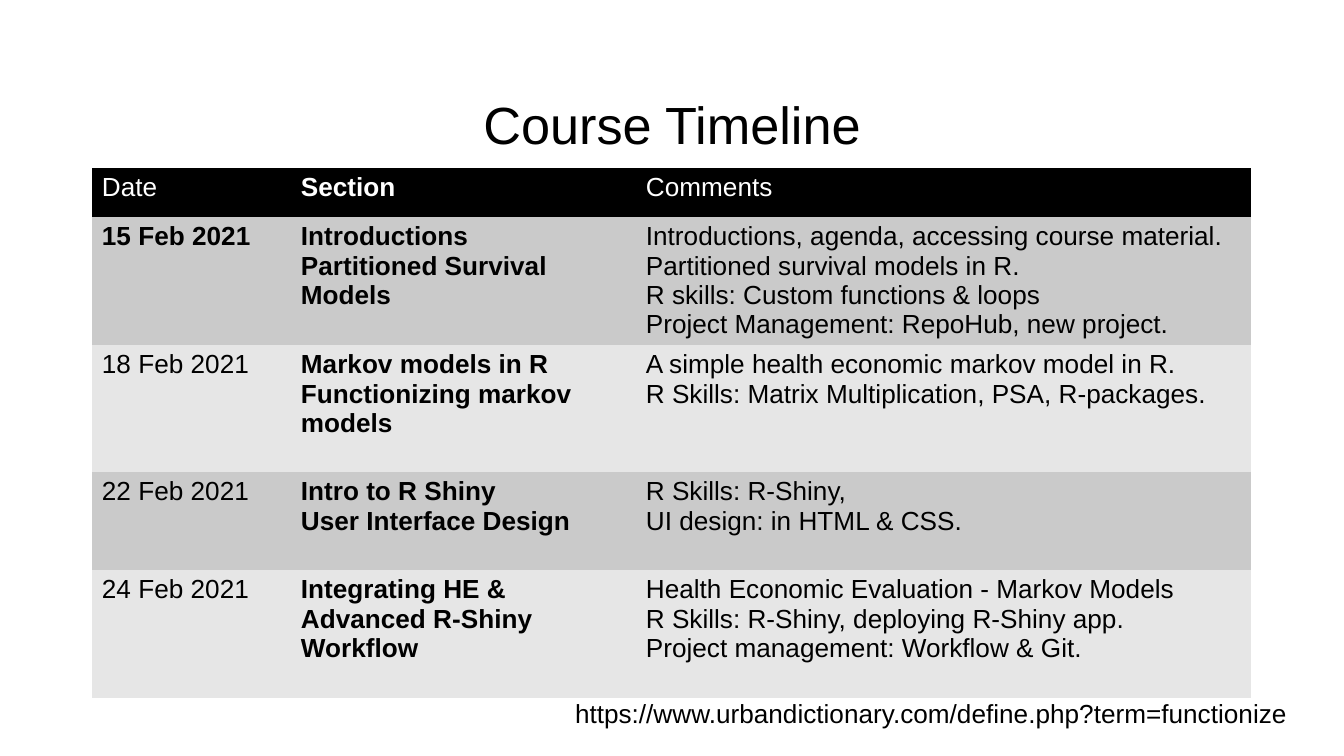
from dataclasses import dataclass

from lxml import etree
from pptx import Presentation
from pptx.dml.color import RGBColor
from pptx.enum.text import MSO_ANCHOR, MSO_AUTO_SIZE, PP_ALIGN
from pptx.oxml.ns import qn
from pptx.util import Emu, Pt

LEFT = PP_ALIGN.LEFT
CENTER = PP_ALIGN.CENTER
MIDDLE = MSO_ANCHOR.MIDDLE
TOP = MSO_ANCHOR.TOP
NO_AUTOFIT = MSO_AUTO_SIZE.NONE
FIT_SHAPE = MSO_AUTO_SIZE.SHAPE_TO_FIT_TEXT
TITLE_ONLY = 5
PLAIN_TABLE_STYLE = "{2D5ABB26-0587-4C30-8999-92F81FD0307C}"


@dataclass(frozen=True)
class Theme:
    """Colours and type sizes of the slide."""

    font: str = "Arial"
    ink: str = "000000"
    header_ink: str = "FFFFFF"
    header_fill: str = "000000"
    bands: tuple = ("CACACA", "E6E6E6")
    title_size: int = 28
    body_size: int = 14


THEME = Theme()
COLUMN_WIDTHS = (199, 345, 615)
ROW_HEIGHTS = (49, 128, 127, 98, 128)
HEADERS = ("Date", "Section", "Comments")
SESSIONS = (
    (
        "15 Feb 2021",
        "Introductions\nPartitioned Survival Models",
        "Introductions, agenda, accessing course material.\n"
        "Partitioned survival models in R.\n"
        "R skills: Custom functions & loops\n"
        "Project Management: RepoHub, new project.",
    ),
    (
        "18 Feb 2021",
        "Markov models in R\nFunctionizing markov models",
        "A simple health economic markov model in R.\n"
        "R Skills: Matrix Multiplication, PSA, R-packages.",
    ),
    (
        "22 Feb 2021",
        "Intro to R Shiny\nUser Interface Design",
        "R Skills: R-Shiny,\nUI design: in HTML & CSS.",
    ),
    (
        "24 Feb 2021",
        "Integrating HE & Advanced R-Shiny\nWorkflow",
        "Health Economic Evaluation - Markov Models\n"
        "R Skills: R-Shiny, deploying R-Shiny app.\n"
        "Project management: Workflow & Git.",
    ),
)
BOLD_CELLS = {(1, 0)} | {(row, 1) for row in range(len(ROW_HEIGHTS))}


def px(length):
    """Convert whole pixels to EMU at 134.4 pixels to the inch."""
    return Emu(round(length * 914400 / 134.4))


def set_margins(frame, horizontal, vertical):
    """Set the inner margins of a text frame or table cell."""
    frame.margin_left = frame.margin_right = px(horizontal)
    frame.margin_top = frame.margin_bottom = px(vertical)


def write_text(frame, text, size=THEME.body_size, color=THEME.ink, bold=False,
               align=LEFT, line_spacing=1.0):
    """Write text, one paragraph per line, in the given format."""
    frame.text = text
    for paragraph in frame.paragraphs:
        paragraph.alignment = align
        paragraph.line_spacing = line_spacing
        for run in paragraph.runs:
            run.font.name = THEME.font
            run.font.size = Pt(size)
            run.font.bold = bold
            run.font.color.rgb = RGBColor.from_string(color)


def place_title(slide, text, left, top, width, height):
    """Move and format the title placeholder."""
    title = slide.shapes.title
    title.left, title.top = px(left), px(top)
    title.width, title.height = px(width), px(height)
    frame = title.text_frame
    frame.auto_size = NO_AUTOFIT
    frame.vertical_anchor = MIDDLE
    set_margins(frame, 9, 5)
    write_text(frame, text, size=THEME.title_size, align=CENTER, line_spacing=0.9)


def fill_cell(cell, text, fill, color, bold):
    """Write and colour one table cell."""
    cell.fill.solid()
    cell.fill.fore_color.rgb = RGBColor.from_string(fill)
    cell.vertical_anchor = TOP
    set_margins(cell, 10, 5)
    write_text(cell.text_frame, text, color=color, bold=bold)


def add_timeline(slide, left, top):
    """Add the table of course sessions."""
    rows = (HEADERS, *SESSIONS)
    table = slide.shapes.add_table(
        len(rows), len(HEADERS), px(left), px(top),
        px(sum(COLUMN_WIDTHS)), px(sum(ROW_HEIGHTS)),
    ).table
    table.horz_banding = False
    properties = table._tbl.tblPr
    style = properties.find(qn("a:tableStyleId"))
    if style is None:
        style = etree.SubElement(properties, qn("a:tableStyleId"))
    style.text = PLAIN_TABLE_STYLE
    for column, width in zip(table.columns, COLUMN_WIDTHS):
        column.width = px(width)
    for row, height in zip(table.rows, ROW_HEIGHTS):
        row.height = px(height)
    for row_index, texts in enumerate(rows):
        is_header = row_index == 0
        fill = THEME.header_fill if is_header else THEME.bands[(row_index - 1) % 2]
        color = THEME.header_ink if is_header else THEME.ink
        for column_index, text in enumerate(texts):
            bold = (row_index, column_index) in BOLD_CELLS
            fill_cell(table.cell(row_index, column_index), text, fill, color, bold)


def add_source(slide, text, left, top, width, height):
    """Add the source address below the table."""
    box = slide.shapes.add_textbox(px(left), px(top), px(width), px(height))
    frame = box.text_frame
    frame.word_wrap = True
    frame.auto_size = FIT_SHAPE
    set_margins(frame, 13, 13)
    write_text(frame, text)


def main():
    """Build and save the course timeline slide."""
    presentation = Presentation()
    presentation.slide_width, presentation.slide_height = px(1344), px(756)
    slide = presentation.slides.add_slide(presentation.slide_layouts[TITLE_ONLY])
    add_timeline(slide, 92, 168)
    place_title(slide, "Course Timeline", 46, 66, 1252, 124)
    add_source(slide, "https://www.urbandictionary.com/define.php?term=functionize",
               562, 684, 749, 59)
    presentation.save("out.pptx")


if __name__ == "__main__":
    main()
